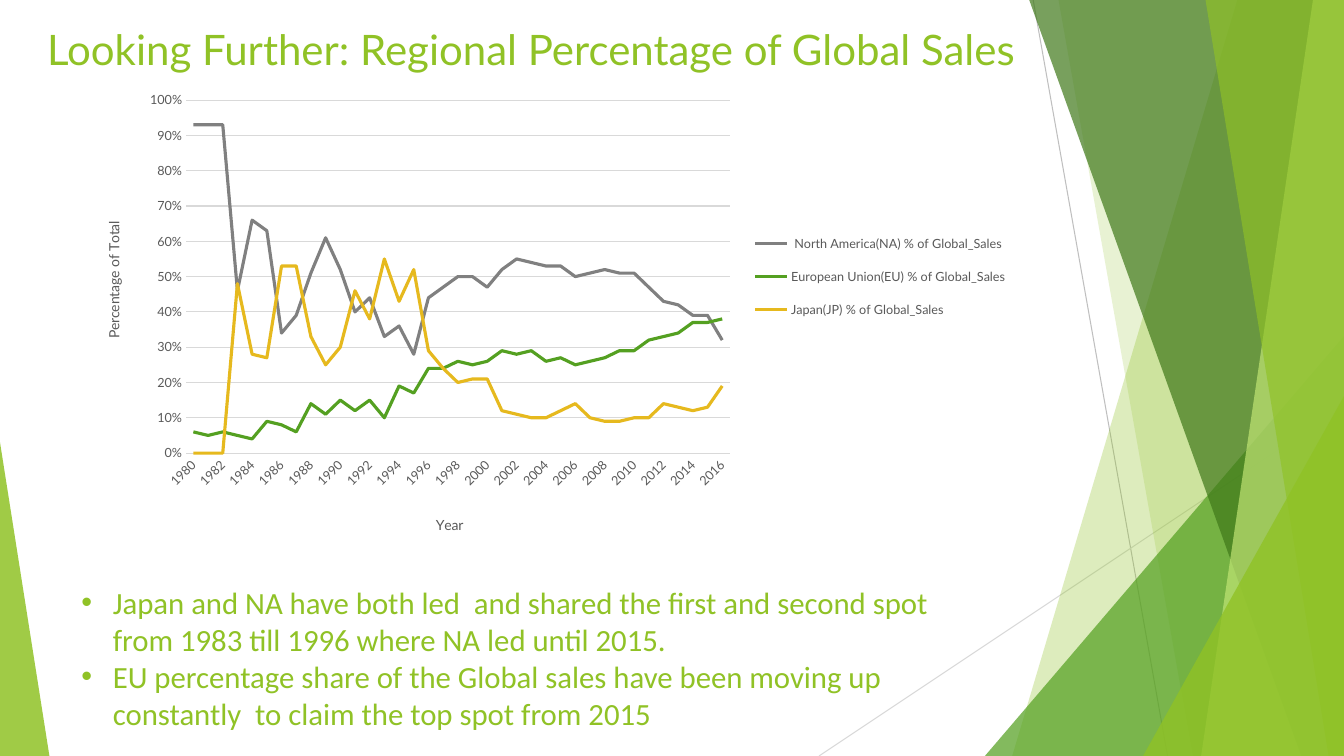
import lxml.etree
import pptx
import pptx.chart.data
import pptx.dml.color
import pptx.enum.chart
import pptx.enum.shapes
import pptx.oxml
import pptx.oxml.ns
import pptx.util

Pt = pptx.util.Pt
qn = pptx.oxml.ns.qn
Color = pptx.dml.color.RGBColor

LIME = Color(0x90, 0xC2, 0x26)
GREEN = Color(0x54, 0xA0, 0x21)
DARK_GREEN = Color(0x3F, 0x78, 0x19)
PALE_LIME = Color(0xC0, 0xE4, 0x74)
GOLD = Color(0xE6, 0xB9, 0x1E)
GRAY = Color(0x80, 0x80, 0x80)
TEXT_GRAY = Color(0x59, 0x59, 0x59)
LINE_GRAY = Color(0xBF, 0xBF, 0xBF)
LIGHT_GRAY = Color(0xD9, 0xD9, 0xD9)
WIDTH, HEIGHT = 960, 540

YEARS = range(1980, 2017)
SHARES = [
    (" North America(NA) % of Global_Sales", GRAY,
     [93, 93, 93, 46, 66, 63, 34, 39, 51, 61, 52, 40, 44, 33, 36, 28, 44, 47, 50,
      50, 47, 52, 55, 54, 53, 53, 50, 51, 52, 51, 51, 47, 43, 42, 39, 39, 32]),
    ("European Union(EU) % of Global_Sales", GREEN,
     [6, 5, 6, 5, 4, 9, 8, 6, 14, 11, 15, 12, 15, 10, 19, 17, 24, 24, 26,
      25, 26, 29, 28, 29, 26, 27, 25, 26, 27, 29, 29, 32, 33, 34, 37, 37, 38]),
    ("Japan(JP) % of Global_Sales", GOLD,
     [0, 0, 0, 48, 28, 27, 53, 53, 33, 25, 30, 46, 38, 55, 43, 52, 29, 24, 20,
      21, 21, 12, 11, 10, 10, 12, 14, 10, 9, 9, 10, 10, 14, 13, 12, 13, 19]),
]
FINDINGS = [
    "Japan and NA have both led  and shared the first and second spot "
    "from 1983 till 1996 where NA led until 2015.",
    "EU percentage share of the Global sales have been moving up "
    "constantly  to claim the top spot from 2015",
]


def set_font(font, size, color, name="Lato"):
    """Give a font its face, size and colour."""
    font.name, font.size, font.bold = name, Pt(size), False
    font.color.rgb = color


def place(element, after=None, inner=False, **fractions):
    """Fix a chart part at fractions of the chart area."""
    for old in element.findall(qn("c:layout")):
        element.remove(old)
    layout = lxml.etree.Element(qn("c:layout"))
    manual = lxml.etree.SubElement(layout, qn("c:manualLayout"))
    if inner:
        lxml.etree.SubElement(manual, qn("c:layoutTarget")).set("val", "inner")
    for key in "xy":
        lxml.etree.SubElement(manual, qn(f"c:{key}Mode")).set("val", "edge")
    for key, value in fractions.items():
        lxml.etree.SubElement(manual, qn(f"c:{key}")).set("val", str(value))
    if after:
        element.find(qn(after)).addnext(layout)
    else:
        element.insert(0, layout)


class SlideBuilder:
    """Holds the current page and the style of its elements."""

    def __init__(self, page):
        """Keep the page to draw on."""
        self.page = page

    def line(self, start, end, color):
        """Draw a thin straight line."""
        rule = self.page.shapes.add_connector(
            pptx.enum.shapes.MSO_CONNECTOR.STRAIGHT, *map(Pt, start + end))
        rule.line.color.rgb, rule.line.width = color, Pt(0.75)
        lxml.etree.SubElement(rule.element.spPr, qn("a:effectLst"))

    def paint(self, shape, color, opacity):
        """Fill a shape with a see-through colour, without outline or shadow."""
        shape.shadow.inherit = False
        shape.line.fill.background()
        shape.fill.solid()
        shape.fill.fore_color.rgb = color
        tone = shape.element.spPr.find(f"{qn('a:solidFill')}/{qn('a:srgbClr')}")
        lxml.etree.SubElement(tone, qn("a:alpha")).set("val", str(opacity * 1000))

    def band(self, top_left, bottom_left, color, opacity):
        """Draw a full-height band with a slanted left side up to the right edge."""
        outline = self.page.shapes.build_freeform(Pt(top_left), Pt(-0.6))
        outline.add_line_segments(
            [(Pt(WIDTH), Pt(-0.6)), (Pt(WIDTH), Pt(HEIGHT)), (Pt(bottom_left), Pt(HEIGHT))])
        self.paint(outline.convert_to_shape(), color, opacity)

    def triangle(self, left, top, width, apex, color, opacity):
        """Draw a triangle that stands on the bottom edge."""
        shape = self.page.shapes.add_shape(
            pptx.enum.shapes.MSO_SHAPE.ISOSCELES_TRIANGLE,
            Pt(left), Pt(top), Pt(width), Pt(HEIGHT - top))
        shape.adjustments[0] = apex
        self.paint(shape, color, opacity)

    def text(self, lines, bounds, size, font="Lato", color=LIME, indent=0):
        """Write paragraphs in a box; an indent also gives them bullets."""
        frame = self.page.shapes.add_textbox(*map(Pt, bounds)).text_frame
        frame.word_wrap = True
        for number, line in enumerate(lines):
            para = frame.add_paragraph() if number else frame.paragraphs[0]
            span = para.add_run()
            span.text = line
            set_font(span.font, size, color, font)
            if indent:
                settings = para._p.get_or_add_pPr()
                settings.set("marL", str(Pt(indent)))
                settings.set("indent", str(-Pt(indent)))
                lxml.etree.SubElement(settings, qn("a:buFont")).set("typeface", "Arial")
                lxml.etree.SubElement(settings, qn("a:buChar")).set("char", "•")

    def axis_title(self, axis, text, x, y, rotation=0):
        """Title an axis at a fixed place."""
        title = axis.axis_title
        title.text_frame.text = text
        set_font(title.text_frame.paragraphs[0].runs[0].font, 10, TEXT_GRAY)
        title.element.find(f".//{qn('a:bodyPr')}").set("rot", str(rotation * 60000))
        place(title.element, after="c:tx", x=x, y=y)

    def line_chart(self, bounds):
        """Draw the regional shares by year."""
        data = pptx.chart.data.CategoryChartData(number_format="0%")
        data.categories = [str(year) for year in YEARS]
        for name, _, percents in SHARES:
            data.add_series(name, [percent / 100 for percent in percents])
        chart = self.page.shapes.add_chart(
            pptx.enum.chart.XL_CHART_TYPE.LINE, *map(Pt, bounds), data).chart
        chart.has_title = False
        set_font(chart.font, 9, TEXT_GRAY)
        chart.plots[0].vary_by_categories = False
        for series, (_, color, _) in zip(chart.plots[0].series, SHARES):
            series.smooth = False
            series.marker.style = pptx.enum.chart.XL_MARKER_STYLE.NONE
            series.format.line.color.rgb = color
            series.format.line.width = Pt(2.25)

        years, shares = chart.category_axis, chart.value_axis
        for axis in (years, shares):
            axis.major_tick_mark = pptx.enum.chart.XL_TICK_MARK.NONE
            set_font(axis.tick_labels.font, 9, TEXT_GRAY)
        shares.minimum_scale, shares.maximum_scale, shares.major_unit = 0, 1, 0.1
        shares.tick_labels.number_format = "0%"
        shares.tick_labels.number_format_is_linked = False
        shares.format.line.fill.background()
        for rule in (years.format.line, shares.major_gridlines.format.line):
            rule.color.rgb, rule.width = LIGHT_GRAY, Pt(0.75)
        self.axis_title(years, "Year", 0.374, 0.94)
        self.axis_title(shares, "Percentage of Total", 0.017, 0.295, rotation=-90)

        root = chart.element
        root.xpath(".//c:catAx/c:txPr/a:bodyPr")[0].set("rot", str(-45 * 60000))
        skip = lxml.etree.Element(qn("c:tickLblSkip"))
        skip.set("val", "2")
        root.xpath(".//c:catAx/c:noMultiLvlLbl")[0].addprevious(skip)

        chart.has_legend = True
        chart.legend.position = pptx.enum.chart.XL_LEGEND_POSITION.RIGHT
        chart.legend.include_in_layout = False
        set_font(chart.legend.font, 9, TEXT_GRAY)
        place(root.xpath(".//c:legend")[0], after="c:legendPos",
              x=0.715, y=0.295, w=0.28, h=0.255)
        place(root.xpath(".//c:plotArea")[0], inner=True,
              x=0.108, y=0.036, w=0.585, h=0.773)


def main():
    """Build the slide and save it."""
    deck = pptx.Presentation()
    deck.slide_width, deck.slide_height = Pt(WIDTH), Pt(HEIGHT)
    builder = SlideBuilder(deck.slides.add_slide(deck.slide_layouts[6]))
    builder.line((738, 0), (834, HEIGHT), LINE_GRAY)
    builder.line((WIDTH, 290), (585, HEIGHT), LIGHT_GRAY)
    builder.band(884, 723, LIME, 30)
    builder.band(756, 852, LIME, 20)
    builder.triangle(703.5, 240, 256.5, 1, GREEN, 72)
    builder.band(735, 929.5, DARK_GREEN, 70)
    builder.band(938, 858, PALE_LIME, 70)
    builder.band(861, 949, LIME, 65)
    builder.triangle(816.5, 283, 143.5, 1, LIME, 80)
    builder.triangle(0, 316, 35.3, 0, LIME, 85)
    builder.text(["Looking Further: Regional Percentage of Global Sales"],
                 (26.6, 13, 760, 79), 30)
    builder.text(FINDINGS, (51, 413.3, 656.6, 114), 22, font="Calibri", indent=22.5)
    builder.line_chart((61.2, 59.8, 663.8, 326.2))
    deck.save("out.pptx")


main()
